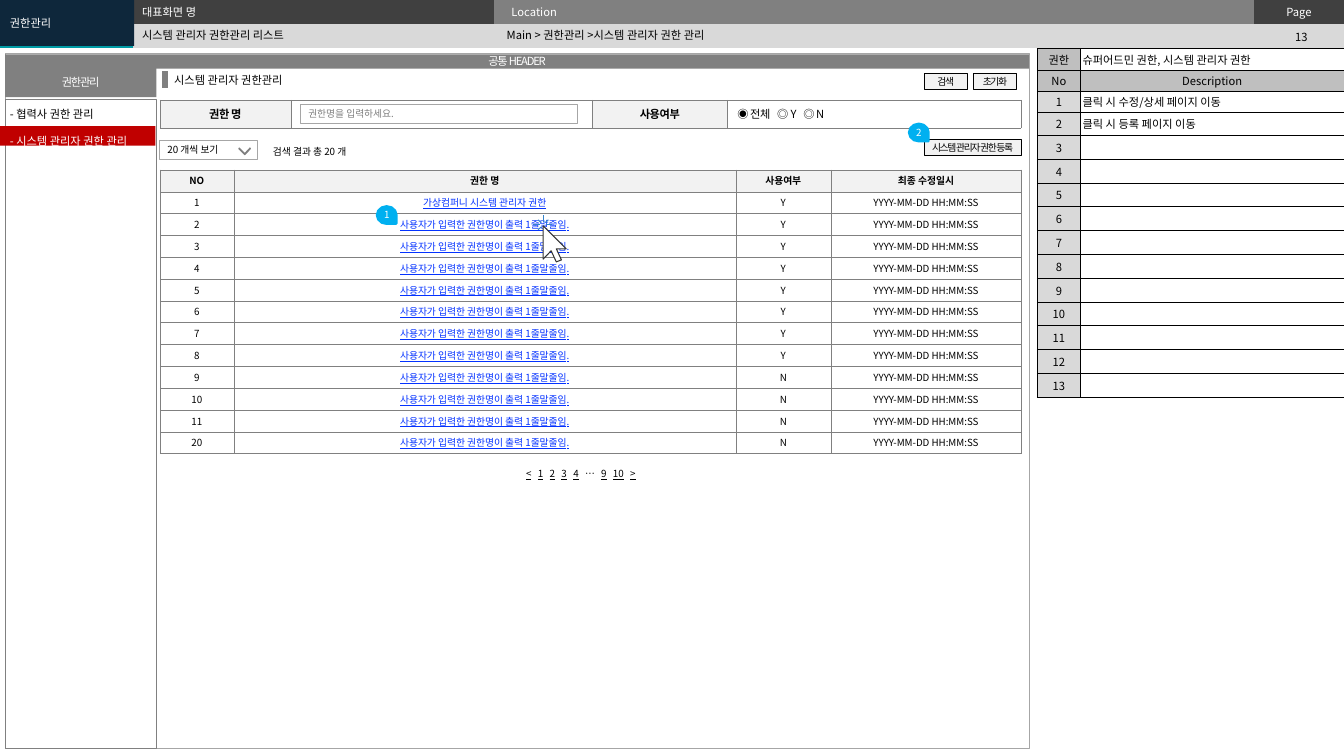
from dataclasses import dataclass
from lxml.etree import SubElement
from pptx import Presentation
from pptx.dml.color import RGBColor
from pptx.enum.shapes import MSO_CONNECTOR, MSO_SHAPE
from pptx.enum.text import MSO_ANCHOR, PP_ALIGN
from pptx.oxml import parse_xml
from pptx.oxml.ns import nsdecls, qn
from pptx.util import Cm, Pt


@dataclass(frozen=True)
class Theme:
    font: str = "Noto Sans CJK KR"
    body: float = 8
    small: float = 7
    black: str = "000000"
    white: str = "FFFFFF"
    navy: str = "0E273B"
    teal: str = "009CA6"
    dark: str = "404040"
    gray: str = "808080"
    edge: str = "A6A6A6"
    mid: str = "BFBFBF"
    pale: str = "D9D9D9"
    light: str = "F2F2F2"
    red: str = "C00000"
    link: str = "0432FF"
    mark: str = "00B0F0"
    arrow: str = "5F5F5F"
    point: str = "333333"
    spark: str = "3483CB"


theme = Theme()
rgb = RGBColor.from_string


def write(para, parts, size=theme.body, ink=theme.black, bold=False,
          under=False, track=0, center=False):
    """Add the parts as runs, with a widened space between neighbours."""
    para.alignment = PP_ALIGN.CENTER if center else PP_ALIGN.LEFT
    parts = [parts] if isinstance(parts, str) else parts
    runs = []
    for part in parts:
        if runs:
            runs.append((" ", False, 3))
        runs.append((part, under and part != "…", track))
    for text, line, space in runs:
        run = para.add_run()
        run.text = text
        font = run.font
        font.name, font.size, font.bold = theme.font, Pt(size), bold
        font.underline = line
        font.color.rgb = rgb(ink)
        props = run._r.get_or_add_rPr()
        props.set("spc", str(round(space * 100)))
        SubElement(props, qn("a:ea"), typeface=theme.font)
    if not runs:
        SubElement(para._p, qn("a:endParaRPr"), sz=str(size * 100))


def grid(left, top, cols, rows, cells, pad, line=None, weight=0.25):
    """Draw a table whose cells are (parts, fill, style)."""
    frame = slide.shapes.add_table(len(rows), len(cols), Cm(left), Cm(top),
                                   Cm(sum(cols)), Cm(sum(rows)))
    table = frame.table
    table.first_row = table.horz_banding = False
    plain = "{2D5ABB26-0587-4C30-8999-92F81FD0307C}"
    table._tbl.tblPr.find(qn("a:tableStyleId")).text = plain
    for col, width in zip(table.columns, cols):
        col.width = Cm(width)
    for row, height, items in zip(table.rows, rows, cells):
        row.height = Cm(height)
        for cell, (parts, fill, style) in zip(row.cells, items):
            cell.margin_left = cell.margin_right = Cm(pad)
            cell.margin_top = cell.margin_bottom = 0
            cell.vertical_anchor = MSO_ANCHOR.MIDDLE
            props = cell._tc.get_or_add_tcPr()
            for side in "LRTB" if line else "":
                props.append(parse_xml(
                    f'<a:ln{side} {nsdecls("a")} w="{int(Pt(weight))}"><a:solidFill>'
                    f'<a:srgbClr val="{line}"/></a:solidFill></a:ln{side}>'))
            cell.fill.solid()
            cell.fill.fore_color.rgb = rgb(fill)
            write(cell.text_frame.paragraphs[0], parts, **style)
    return table


deck = Presentation()
deck.slide_width, deck.slide_height = Cm(33.87), Cm(19.05)
slide = deck.slides.add_slide(deck.slide_layouts[6])
shapes = slide.shapes

# Page header
pale = ([], theme.pale, {})
head = grid(0, 0, [3.36, 9.08, 19.16, 2.27], [0.6, 0.6], [
    [([], theme.teal, {}), ([], theme.dark, {}),
     ("Location", theme.gray, {"ink": theme.white}),
     ("Page", theme.dark, {"ink": theme.white, "center": True})],
    [([], theme.teal, {}), pale, pale, pale]], 0.45)
head.cell(0, 0).merge(head.cell(1, 0))

# Description table
mid = {"center": True}
notes = ["클릭 시 수정/상세 페이지 이동", "클릭 시 등록 페이지 이동"] + [[]] * 11
rows = [[("권한", theme.mid, mid),
         ("슈퍼어드민 권한, 시스템 관리자 권한", theme.white, {})],
        [("No", theme.mid, mid), ("Description", theme.mid, mid)]]
for num, note in enumerate(notes, 1):
    rows.append([(str(num), theme.pale, mid), (note, theme.white, {})])
grid(26.14, 1.22, [1.09, 6.64], [0.55, 0.53, 0.53, 0.58] + [0.6] * 11, rows,
     0.05, theme.black, 0.5)

# Search filter
bold = {"bold": True, "track": -0.3, "center": True}
grid(4.03, 2.52, [3.3, 7.6, 3.4, 7.4], [0.7], [[
    ("권한 명", theme.light, bold), ([], theme.white, {}),
    ("사용여부", theme.light, bold),
    (["◉ 전체", "◎ Y", "◎ N"], theme.white, {"track": -0.3})]],
    0.25, theme.gray)

# Permission list
cell = {"size": theme.small, "center": True}
link = {**cell, "ink": theme.link, "under": True}
rows = [[(name, theme.light, {**cell, "bold": True})
         for name in ("NO", "권한 명", "사용여부", "최종 수정일시")]]
for num in [*range(1, 12), 20]:
    name = ("가상컴퍼니 시스템 관리자 권한" if num == 1
            else "사용자가 입력한 권한명이 출력 1줄말줄임.")
    rows.append([(str(num), theme.white, cell), (name, theme.white, link),
                 ("Y" if num < 9 else "N", theme.white, cell),
                 ("YYYY-MM-DD HH:MM:SS", theme.white, cell)])
grid(4.03, 4.28, [1.86, 12.65, 2.4, 4.79], [0.55] * 13, rows, 0.25, theme.gray)

# Panels, fields, buttons and labels: place, text, fill, line, weight, pad, style
bar = {"ink": theme.white, "track": -0.9, "center": True}
press = {**cell, "track": -0.9}
small = {"size": theme.small}
pages = ["<", "1", "2", "3", "4", "…", "9", "10", ">"]
boxes = [
    ((0.13, 1.35, 25.8, 17.5), [], None, theme.edge, 0.25, 0, {}),
    ((0.13, 2.49, 3.81, 16.36), [], None, theme.gray, 0.25, 0, {}),
    ((0, 0, 3.38, 1.16), "권한관리", theme.navy, None, 0, 0.25, {"ink": theme.white}),
    ((0.13, 1.37, 25.8, 0.36), "공통 HEADER", theme.gray, None, 0, 0.1, bar),
    ((0.13, 1.71, 3.81, 0.74), "권한관리", theme.gray, None, 0, 0.1, bar),
    ((0, 3.18, 3.92, 0.49), [], theme.red, None, 0, 0, {}),
    ((7.57, 2.62, 6.98, 0.5), "권한명을 입력하세요.", theme.white, theme.edge, 0.5,
     0.2, {**small, "ink": theme.gray}),
    ((4.02, 3.53, 2.46, 0.49), "20 개씩 보기", theme.white, theme.edge, 0.5, 0.2, small),
    ((24.53, 1.85, 1.09, 0.41), "초기화", theme.light, theme.black, 0.25, 0, press),
    ((23.29, 1.85, 1.09, 0.41), "검색", theme.light, theme.black, 0.25, 0, press),
    ((23.29, 3.51, 2.44, 0.41), "시스템 관리자 권한 등록", theme.light, theme.black,
     0.25, 0, press),
    ((3.33, 0.61, 9.2, 0.56), "시스템 관리자 권한관리 리스트", None, None, 0, 0.25, {}),
    ((12.52, 0.58, 18.7, 0.6), "Main > 권한관리 >시스템 관리자 권한 관리", None, None,
     0, 0.25, {}),
    ((3.33, 0.02, 9.2, 0.56), "대표화면 명", None, None, 0, 0.25, {"ink": theme.white}),
    ((31.72, 0.63, 2.15, 0.6), "13", None, None, 0, 0.25, mid),
    ((4.14, 1.71, 6.12, 0.6), "시스템 관리자 권한관리", None, None, 0, 0.25, {}),
    ((6.63, 3.53, 2.9, 0.56), "검색 결과 총 20 개", None, None, 0, 0.25, small),
    ((13.06, 11.68, 3.68, 0.51), pages, None, None, 0, 0.2, {**small, "under": True}),
]
for place, parts, fill, line, weight, pad, style in boxes:
    place = [Cm(n) for n in place]
    if fill or line:
        box = shapes.add_shape(MSO_SHAPE.RECTANGLE, *place)
        box.shadow.inherit = False
    else:
        box = shapes.add_textbox(*place)
    if fill:
        box.fill.solid()
        box.fill.fore_color.rgb = rgb(fill)
    else:
        box.fill.background()
    if line:
        box.line.color.rgb, box.line.width = rgb(line), Pt(weight)
    else:
        box.line.fill.background()
    if parts:
        frame = box.text_frame
        frame.word_wrap, frame.vertical_anchor = True, MSO_ANCHOR.MIDDLE
        frame.margin_left = frame.margin_right = Cm(pad)
        frame.margin_top = frame.margin_bottom = 0
        write(frame.paragraphs[0], parts, **style)

# Side menu
menu = shapes.add_textbox(0, Cm(2.24), Cm(3.9), Cm(1.52)).text_frame
menu.word_wrap = True
write(menu.paragraphs[0], "- 협력사 권한 관리")
write(menu.add_paragraph(), "- 시스템 관리자 권한 관리", ink=theme.white)
for para in menu.paragraphs:
    para.line_spacing = Pt(19.3)

# Section marker
rule = shapes.add_connector(MSO_CONNECTOR.STRAIGHT, Cm(4.15), Cm(1.8), Cm(4.15), Cm(2.21))
rule.line.color.rgb, rule.line.width = rgb(theme.gray), Pt(4.5)
SubElement(rule._element.spPr, qn("a:effectLst"))

# Dropdown arrow, click rays and mouse pointer, in hundredths of a centimetre
chevron = [[(630, 373), (617, 387), (603, 373), (602, 375), (617, 390), (631, 375)]]
pointer = [[(1415, 655), (1402, 627), (1427, 627), (1369, 569),
            (1369, 653), (1389, 632), (1402, 660)]]
rays = [[(1364, 572), (1356, 579)], [(1364, 561), (1356, 554)],
        [(1374, 561), (1382, 554)], [(1361, 566), (1344, 566)],
        [(1369, 559), (1369, 541)], [(1375, 566), (1392, 566)]]
for paths, fill, line in [(chevron, theme.arrow, theme.gray),
                          (pointer, theme.white, theme.point),
                          (rays, None, theme.spark)]:
    pen = shapes.build_freeform(*paths[0][0], scale=Cm(0.01))
    for first, *rest in paths:
        pen.move_to(*first)
        pen.add_line_segments(rest, close=bool(fill))
    icon = pen.convert_to_shape()
    icon.shadow.inherit = False
    if fill:
        icon.fill.solid()
        icon.fill.fore_color.rgb = rgb(fill)
    else:
        icon.fill.background()
    icon.line.color.rgb, icon.line.width = rgb(line), Pt(0.75)

# Callout numbers
for num, left, top in [("2", 22.94, 3.1), ("1", 9.53, 5.18)]:
    drop = shapes.add_shape(MSO_SHAPE.TEAR, Cm(left), Cm(top), Cm(0.43), Cm(0.48))
    drop.rotation = 90
    drop.shadow.inherit = False
    drop.fill.solid()
    drop.fill.fore_color.rgb = drop.line.color.rgb = rgb(theme.mark)
    drop.line.width = Pt(2)
    frame = drop.text_frame
    frame.margin_left = frame.margin_right = frame.margin_top = frame.margin_bottom = 0
    frame.vertical_anchor = MSO_ANCHOR.MIDDLE
    frame._txBody.bodyPr.set("vert", "vert270")
    write(frame.paragraphs[0], num, theme.small, theme.white, center=True)

deck.save("out.pptx")
